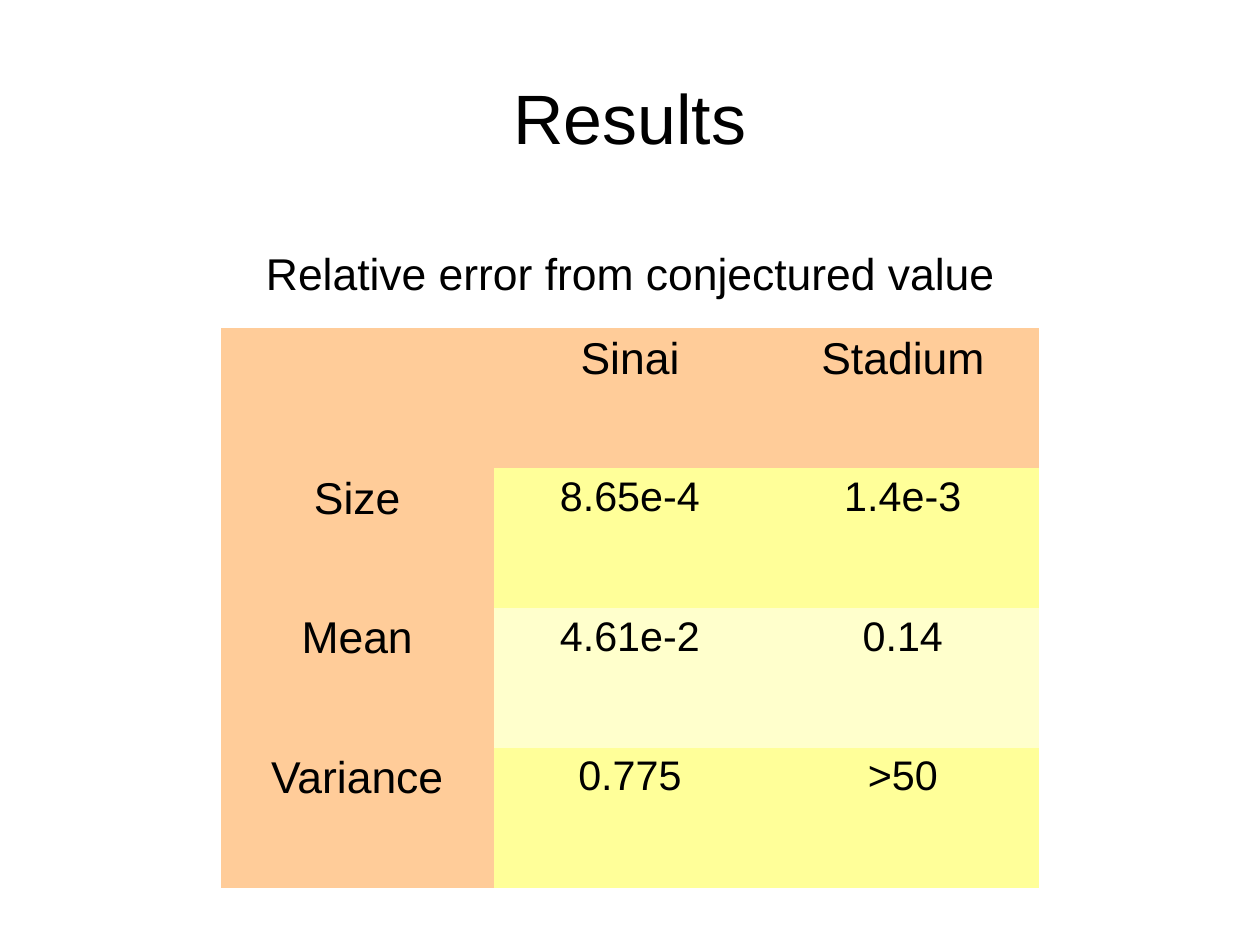
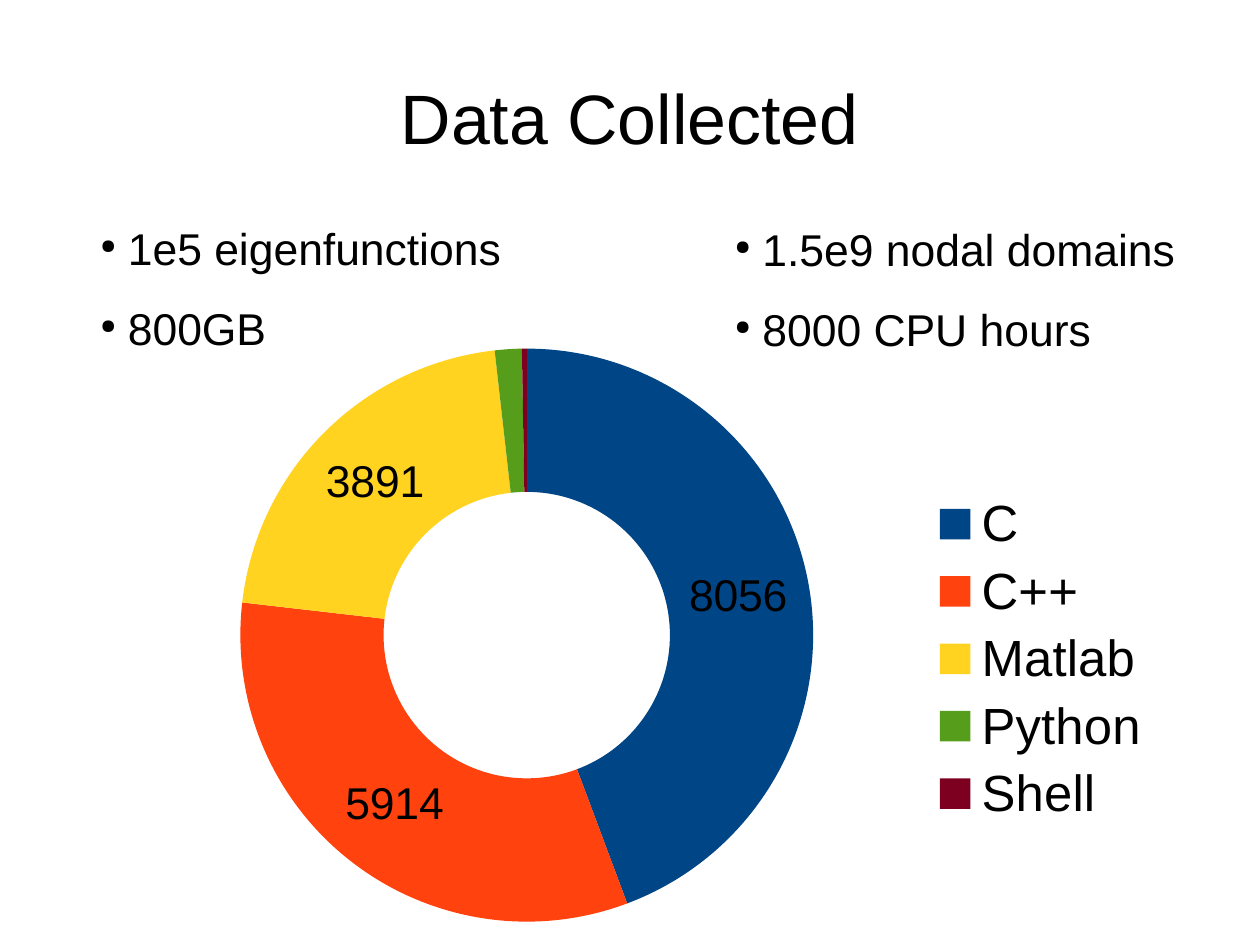
"""Build two slides: a table of relative errors and a doughnut of collected data."""
from dataclasses import dataclass

from lxml.etree import SubElement
from pptx import Presentation
from pptx.chart.data import CategoryChartData
from pptx.dml.color import RGBColor
from pptx.enum.chart import XL_CHART_TYPE, XL_LEGEND_POSITION
from pptx.enum.text import MSO_ANCHOR, PP_ALIGN
from pptx.oxml.ns import qn
from pptx.util import Inches, Pt


@dataclass(frozen=True)
class Theme:
    """Hold the colours and type sizes."""
    font: str = "Arial"
    ink: str = "000000"
    head: str = "FFCC99"
    odd: str = "FFFF99"
    even: str = "FFFFCC"
    hues: tuple = ("004586", "FF420E", "FFD320", "579D1C", "7E0021")
    title: int = 44
    key: int = 32
    text: int = 28
    value: int = 26
    chart: int = 10


THEME = Theme()
SIZE = (11.02, 8.27)
TITLE = (0.55, 0.33, 9.92, 1.38)
NO_GRID = "{2D5ABB26-0587-4C30-8999-92F81FD0307C}"

CAPTION = ("Relative error from conjectured value", (2.16, 2.1, 6.7, 0.53))
TABLE = (1.93, 2.87, 7.16, 4.89)
ROWS = [
    ("", "Sinai", "Stadium"),
    ("Size", "8.65e-4", "1.4e-3"),
    ("Mean", "4.61e-2", "0.14"),
    ("Variance", "0.775", ">50"),
]

LISTS = [
    (("1.5e9 nodal domains", "8000 CPU hours"), (6.33, 1.66, 4.33, 1.4)),
    (("1e5 eigenfunctions", "800GB"), (0.78, 1.65, 5, 1.4)),
]
CHART = (0.81, 2.42, 9.4, 6.68)
PLOT = {"x": 0.055, "y": 0.094, "w": 0.698, "h": 0.75}
LINES = {"C": 8056, "C++": 5914, "Matlab": 3891, "Python": 276, "Shell": 49}
SHOWN = 3


def rgb(code):
    """Turn a hex code into a colour."""
    return RGBColor.from_string(code)


def style(font, size):
    """Set face, size and colour of a font."""
    font.name, font.size = THEME.font, Pt(size)
    font.color.rgb = rgb(THEME.ink)


def place(box):
    """Turn a box in inches into lengths."""
    return [Inches(n) for n in box]


def write(para, text, size, align=None):
    """Add one styled run to a paragraph."""
    para.alignment = align
    run = para.add_run()
    run.text = text
    style(run.font, size)


def add_slide(deck, text):
    """Add a slide with the shared title style."""
    slide = deck.slides.add_slide(deck.slide_layouts[5])
    title = slide.shapes.title
    title.left, title.top, title.width, title.height = place(TITLE)
    frame = title.text_frame
    frame.margin_left = frame.margin_right = 0
    frame.margin_top = frame.margin_bottom = 0
    frame.vertical_anchor = MSO_ANCHOR.MIDDLE
    write(frame.paragraphs[0], text, THEME.title, PP_ALIGN.CENTER)
    return slide


def add_box(slide, box):
    """Add a wrapping text box and return its frame."""
    frame = slide.shapes.add_textbox(*place(box)).text_frame
    frame.word_wrap = True
    return frame


def bullet(para):
    """Give a paragraph a small round bullet and a hanging indent."""
    props = para._p.get_or_add_pPr()
    props.set("marL", str(Inches(0.24)))
    props.set("indent", str(Inches(-0.24)))
    tint = SubElement(props, qn("a:buClr"))
    SubElement(tint, qn("a:srgbClr"), val=THEME.ink)
    SubElement(props, qn("a:buSzPct"), val="45000")
    SubElement(props, qn("a:buChar"), char="●")
    para.line_spacing = 1.5


def add_list(slide, items, box):
    """Add a bulleted list."""
    frame = add_box(slide, box)
    for i, item in enumerate(items):
        para = frame.add_paragraph() if i else frame.paragraphs[0]
        bullet(para)
        write(para, item, THEME.text)


def add_grid(slide):
    """Add the table of errors."""
    shape = slide.shapes.add_table(len(ROWS), len(ROWS[0]), *place(TABLE))
    table = shape.table
    table.first_row = table.horz_banding = False
    table._tbl.tblPr.find(qn("a:tableStyleId")).text = NO_GRID
    for r, row in enumerate(ROWS):
        for c, text in enumerate(row):
            cell = table.cell(r, c)
            label = r == 0 or c == 0
            band = THEME.odd if r % 2 else THEME.even
            cell.fill.solid()
            cell.fill.fore_color.rgb = rgb(THEME.head if label else band)
            if text:
                size = THEME.text if label else THEME.value
                write(cell.text_frame.paragraphs[0], text, size, PP_ALIGN.CENTER)


def set_plot(chart):
    """Fix the place of the ring inside the chart."""
    area = chart._chartSpace.chart.plotArea
    for old in area.findall(qn("c:layout")):
        area.remove(old)
    layout = SubElement(area, qn("c:layout"))
    area.insert(0, layout)
    manual = SubElement(layout, qn("c:manualLayout"))
    SubElement(manual, qn("c:layoutTarget"), val="outer")
    for axis in "xy":
        SubElement(manual, qn(f"c:{axis}Mode"), val="edge")
    for name, part in PLOT.items():
        SubElement(manual, qn(f"c:{name}"), val=str(part))


def add_ring(slide):
    """Add the doughnut chart."""
    data = CategoryChartData()
    data.categories = list(LINES)
    data.add_series("Series 1", list(LINES.values()))
    kind = XL_CHART_TYPE.DOUGHNUT
    chart = slide.shapes.add_chart(kind, *place(CHART), data).chart
    style(chart.font, THEME.chart)
    chart.has_title = False
    chart.has_legend = True
    chart.legend.position = XL_LEGEND_POSITION.RIGHT
    chart.legend.include_in_layout = False
    style(chart.legend.font, THEME.key)
    set_plot(chart)
    plot = chart.plots[0]
    plot.vary_by_categories = True
    series = plot.series[0]
    series.data_labels.show_value = False
    for i, code in enumerate(THEME.hues):
        point = series.points[i]
        point.format.fill.solid()
        point.format.fill.fore_color.rgb = rgb(code)
        point.format.line.fill.background()
        if i < SHOWN:
            style(point.data_label.font, THEME.text)


def main():
    """Build and save the deck."""
    deck = Presentation()
    deck.slide_width, deck.slide_height = place(SIZE)
    slide = add_slide(deck, "Results")
    add_grid(slide)
    text, box = CAPTION
    para = add_box(slide, box).paragraphs[0]
    write(para, text, THEME.text, PP_ALIGN.CENTER)
    slide = add_slide(deck, "Data Collected")
    add_ring(slide)
    for items, box in LISTS:
        add_list(slide, items, box)
    deck.save("out.pptx")


if __name__ == "__main__":
    main()
